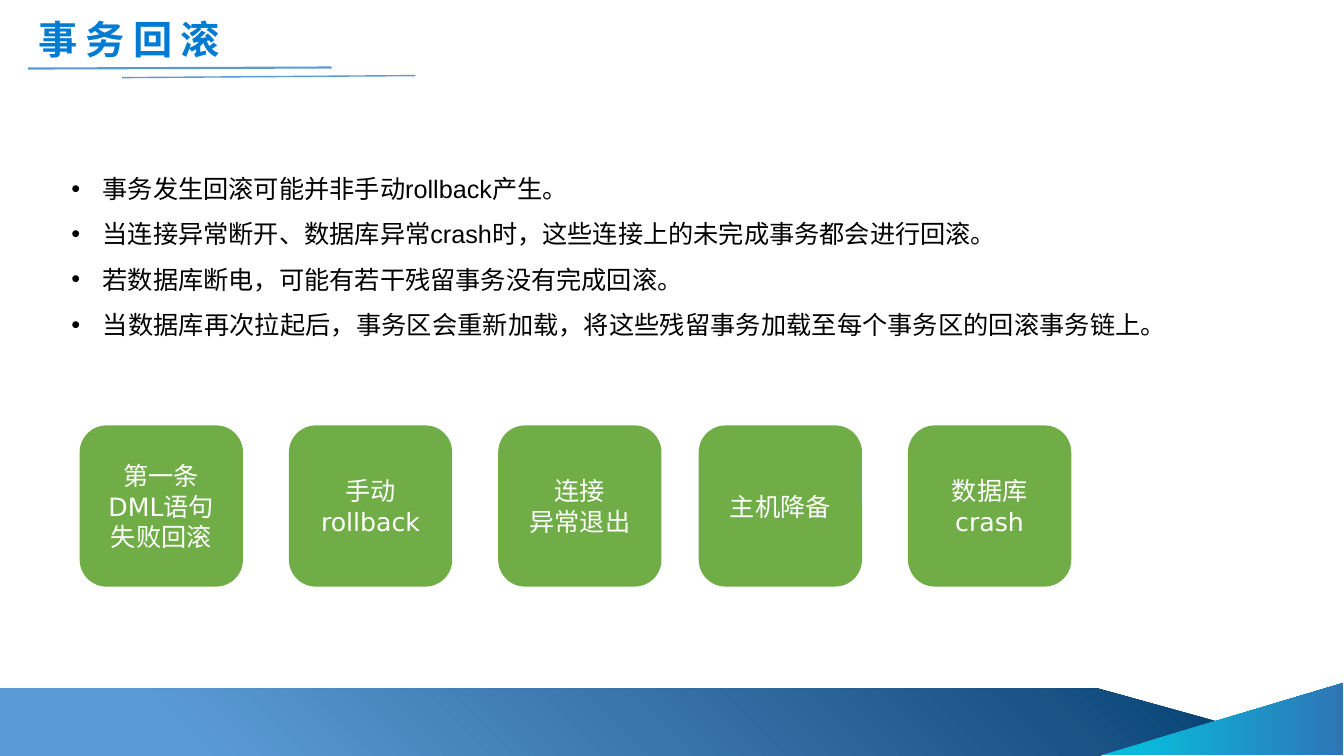
from dataclasses import dataclass

from lxml.etree import SubElement
from pptx import Presentation
from pptx.dml.color import RGBColor
from pptx.enum.shapes import MSO_CONNECTOR as Connector, MSO_SHAPE as Preset
from pptx.enum.text import MSO_ANCHOR as Anchor, MSO_AUTO_SIZE as AutoSize, PP_ALIGN as Align
from pptx.oxml import parse_xml
from pptx.oxml.ns import nsdecls, qn
from pptx.util import Inches, Pt

SLIDE_WIDTH, SLIDE_HEIGHT = Inches(13.33), Inches(7.5)
COLORS = {
    "white": "FFFFFF", "black": "000000", "green": "70AD47",
    "sky": "5B9BD5", "steel": "1D5487", "navy": "034373",
    "cyan": "09BBDB", "blue": "2E75B6", "title": "007BD3",
}
HEADING_FONT, BODY_FONT = "DejaVu Sans", "Arial"
LINEAR = '<a:lin ang="{}" scaled="0"/>'
FROM_BOTTOM_LEFT = '<a:path path="circle"><a:fillToRect t="100000" r="100000"/></a:path>'


@dataclass(frozen=True)
class Box:
    """Shares of the slide's width and height, in percent."""
    left: float
    top: float
    width: float
    height: float

    def lengths(self) -> tuple:
        return (across(self.left), down(self.top), across(self.width), down(self.height))


@dataclass(frozen=True)
class Rule:
    start: tuple
    end: tuple
    weight: float


@dataclass(frozen=True)
class Card:
    left: float
    lines: tuple


CARD_TOP, CARD_WIDTH, CARD_HEIGHT, CARD_PITCH = 56.27, 12.15, 21.33, 15.57
CARD_GROUPS = [
    (5.93, [("第一条DML语句失败回滚",), ("手动rollback",), ("连接", "异常退出")]),
    (51.99, [("主机降备",), ("数据库", "crash")]),
]
CARDS = [
    Card(start + index * CARD_PITCH, lines)
    for start, group in CARD_GROUPS
    for index, lines in enumerate(group)
]
RULES = [
    Rule((2.1, 9.07), (24.68, 8.93), 1.5),
    Rule((9.08, 10.27), (30.91, 10), 1),
]
POINTS = (
    "事务发生回滚可能并非手动rollback产生。",
    "当连接异常断开、数据库异常crash时，这些连接上的未完成事务都会进行回滚。",
    "若数据库断电，可能有若干残留事务没有完成回滚。",
    "当数据库再次拉起后，事务区会重新加载，将这些残留事务加载至每个事务区的回滚事务链上。",
)


def across(percent: float) -> int:
    return round(SLIDE_WIDTH * percent / 100)


def down(percent: float) -> int:
    return round(SLIDE_HEIGHT * percent / 100)


def gradient(stops: list, direction: str):
    marks = "".join(
        f'<a:gs pos="{position * 1000}"><a:srgbClr val="{COLORS[color]}"/></a:gs>'
        for position, color in stops
    )
    return parse_xml(
        f'<a:gradFill {nsdecls("a")} rotWithShape="1"><a:gsLst>{marks}</a:gsLst>{direction}</a:gradFill>'
    )


def add_bullet(paragraph, indent: int) -> None:
    properties = paragraph._p.get_or_add_pPr()
    properties.set("marL", str(indent))
    properties.set("indent", str(-indent))
    SubElement(properties, qn("a:buFont")).set("typeface", "Arial")
    SubElement(properties, qn("a:buChar")).set("char", "•")


def write_text(shape, lines: tuple, *, size: float = 18, font: str = HEADING_FONT,
               color: str = "white", bold: bool = False, align=Align.CENTER,
               anchor=Anchor.MIDDLE, wrap: bool = True, line_spacing: float = 1,
               bullet_indent: int = 0) -> None:
    frame = shape.text_frame
    frame.word_wrap = wrap
    frame.vertical_anchor = anchor
    for index, line in enumerate(lines):
        paragraph = frame.add_paragraph() if index else frame.paragraphs[0]
        if bullet_indent:
            add_bullet(paragraph, bullet_indent)
        paragraph.alignment = align
        paragraph.line_spacing = line_spacing
        run = paragraph.add_run()
        run.text = line
        run.font.size = Pt(size)
        run.font.name = font
        run.font.bold = bold
        run.font.color.rgb = RGBColor.from_string(COLORS[color])


def add_plain_shape(slide, preset, box: Box, color: str):
    shape = slide.shapes.add_shape(preset, *box.lengths())
    shape.shadow.inherit = False
    shape.fill.solid()
    shape.fill.fore_color.rgb = RGBColor.from_string(COLORS[color])
    shape.line.fill.background()
    return shape


def add_gradient_shape(slide, preset, box: Box, stops: list, direction: str):
    shape = add_plain_shape(slide, preset, box, stops[0][1])
    solid = shape._element.spPr.find(qn("a:solidFill"))
    solid.getparent().replace(solid, gradient(stops, direction))
    return shape


def add_footer(slide) -> None:
    band = add_gradient_shape(
        slide, Preset.PENTAGON, Box(0, 91.07, 90.77, 8.93),
        [(15, "sky"), (84, "steel"), (100, "navy")], FROM_BOTTOM_LEFT,
    )
    band.adjustments[0] = 1.81
    corner = add_gradient_shape(
        slide, Preset.RIGHT_TRIANGLE, Box(88.22, 79.07, 5.4, 32.13),
        [(15, "cyan"), (100, "blue")], LINEAR.format(5400000),
    )
    corner.rotation = 270


def add_title(slide) -> None:
    title = slide.shapes.add_textbox(*Box(2.1, 1.33, 15.83, 7.73).lengths())
    write_text(title, ("事务回滚",), size=28, color="title", bold=True, align=Align.LEFT, wrap=False)
    title.text_frame.auto_size = AutoSize.SHAPE_TO_FIT_TEXT
    properties = title.text_frame.paragraphs[0].runs[0].font._element
    properties.set("spc", "600")
    solid = properties.find(qn("a:solidFill"))
    properties.replace(solid, gradient([(0, "title"), (100, "navy")], LINEAR.format(0)))


def add_rule(slide, rule: Rule) -> None:
    (start_x, start_y), (end_x, end_y) = rule.start, rule.end
    connector = slide.shapes.add_connector(
        Connector.STRAIGHT, across(start_x), down(start_y), across(end_x), down(end_y)
    )
    connector.line.width = Pt(rule.weight)
    connector.line.color.rgb = RGBColor.from_string(COLORS["sky"])
    SubElement(connector._element.spPr, qn("a:effectLst"))


def add_points(slide) -> None:
    points = slide.shapes.add_textbox(*Box(4.58, 20.27, 81.1, 24.93).lengths())
    write_text(points, POINTS, font=BODY_FONT, color="black", align=Align.JUSTIFY,
               anchor=Anchor.TOP, line_spacing=1.5, bullet_indent=Inches(0.31))
    points.text_frame.auto_size = AutoSize.SHAPE_TO_FIT_TEXT


def add_card(slide, card: Card) -> None:
    box = Box(card.left, CARD_TOP, CARD_WIDTH, CARD_HEIGHT)
    write_text(add_plain_shape(slide, Preset.ROUNDED_RECTANGLE, box, "green"), card.lines)


def main() -> None:
    presentation = Presentation()
    presentation.slide_width, presentation.slide_height = SLIDE_WIDTH, SLIDE_HEIGHT
    slide = presentation.slides.add_slide(presentation.slide_layouts[6])
    add_footer(slide)
    add_title(slide)
    for rule in RULES:
        add_rule(slide, rule)
    add_points(slide)
    for card in CARDS:
        add_card(slide, card)
    presentation.save("out.pptx")


if __name__ == "__main__":
    main()
